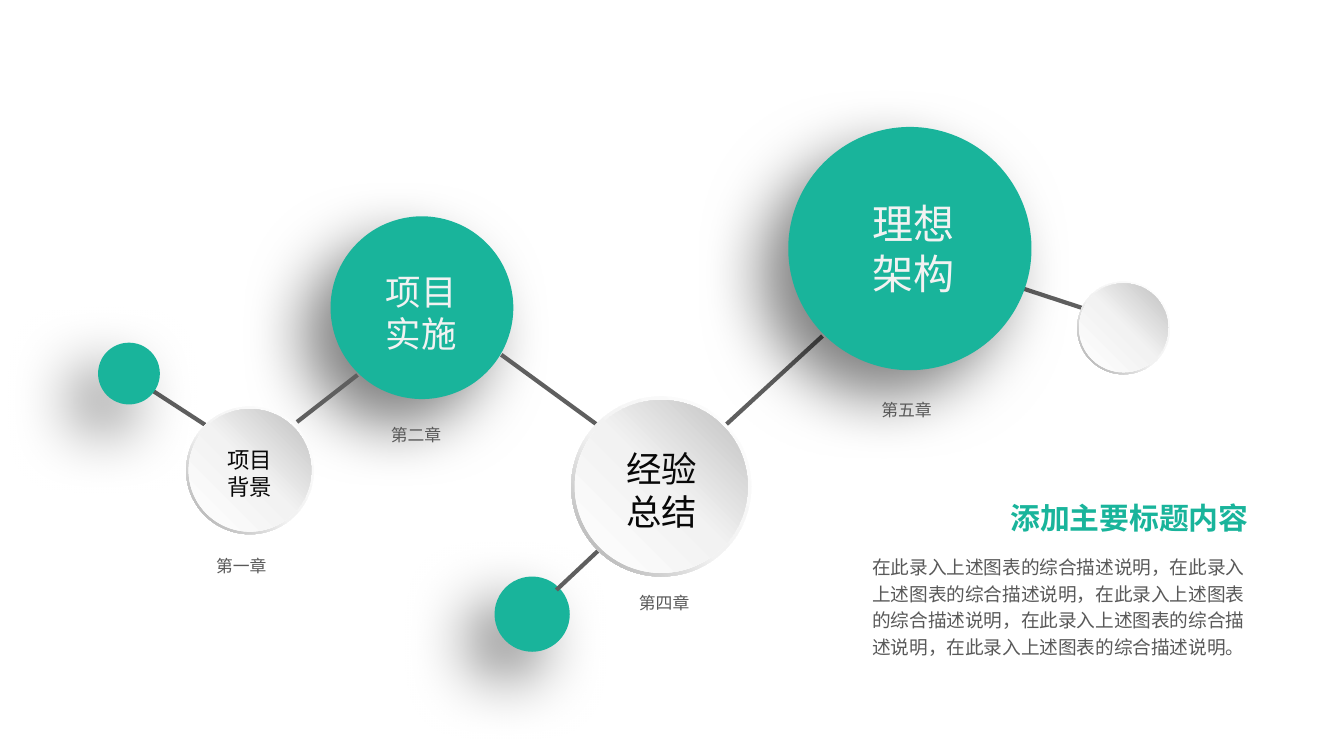
"""Build a slide of linked chapter spheres with a summary at the lower right."""
import copy
from typing import NamedTuple

import pptx
import pptx.dml.color
import pptx.enum.shapes
import pptx.enum.text
import pptx.oxml
import pptx.oxml.ns
import pptx.util
from pptx.util import Inches

RGBColor = pptx.dml.color.RGBColor
Shape = pptx.enum.shapes.MSO_SHAPE
Align = pptx.enum.text.PP_ALIGN
Pt = pptx.util.Pt

FONT = "Noto Sans CJK SC"
TEAL = RGBColor(0x19, 0xB4, 0x9B)
LINK_GREY = RGBColor(0x5F, 0x5F, 0x5F)
TEXT_GREY = RGBColor(0x59, 0x59, 0x59)
PALE = RGBColor(0xF2, 0xF2, 0xF2)
BLACK = RGBColor(0x08, 0x08, 0x08)
WHITE = RGBColor(0xFF, 0xFF, 0xFF)
RIM_GREY = RGBColor(0xA6, 0xA6, 0xA6)
FACE_GREY = RGBColor(0xBF, 0xBF, 0xBF)


class Link(NamedTuple):
    x1: float
    y1: float
    x2: float
    y2: float


class Sphere(NamedTuple):
    x: float
    y: float
    size: float


class Label(NamedTuple):
    text: str
    left: float
    top: float
    width: float
    height: float
    size: int
    color: RGBColor


class Chapter(NamedTuple):
    text: str
    left: float
    top: float


BACK_LINKS = [Link(7.56, 2.13, 8.17, 2.33), Link(5.38, 3.18, 6.12, 2.5)]
FRONT_LINKS = [
    Link(2.21, 3.14, 2.66, 2.79),
    Link(3.73, 2.64, 4.47, 3.18),
    Link(1.14, 2.91, 1.54, 3.17),
    Link(4.14, 4.39, 4.47, 4.08),
]
TEAL_SPHERES = [Sphere(6.77, 1.85, 1.81), Sphere(3.96, 4.57, 0.56), Sphere(3.14, 2.29, 1.36)]
END_SPHERE = Sphere(0.96, 2.78, 0.46)
SILVER_SPHERES = [Sphere(8.36, 2.44, 0.69), Sphere(4.92, 3.62, 1.34), Sphere(1.86, 3.5, 0.95)]
LABELS = [
    Label("理想\n架构", 6.39, 1.43, 0.82, 0.84, 22, PALE),
    Label("经验\n总结", 4.56, 3.28, 0.73, 0.74, 19, BLACK),
    Label("项目\n实施", 2.77, 1.96, 0.73, 0.74, 19, PALE),
    Label("项目\n背景", 1.59, 3.27, 0.54, 0.5, 12, BLACK),
]
CHAPTERS = [
    Chapter("第一章", 1.05, 4.06),
    Chapter("第二章", 2.35, 3.08),
    Chapter("第四章 ", 4.21, 4.33),
    Chapter("第五章", 6, 2.9),
]


def place(shape, left: float, top: float, width: float, height: float) -> None:
    shape.left, shape.top = Inches(left), Inches(top)
    shape.width, shape.height = Inches(width), Inches(height)


def write(shape, text: str, *, size: float, color: RGBColor, align=Align.LEFT,
          bold: bool = False, wrap: bool = True, spacing=None,
          inset: tuple[float, float] = (0.1, 0.05)) -> None:
    frame = shape.text_frame
    frame.word_wrap = wrap
    frame.auto_size = pptx.enum.text.MSO_AUTO_SIZE.SHAPE_TO_FIT_TEXT
    frame.vertical_anchor = pptx.enum.text.MSO_ANCHOR.TOP
    frame.margin_left = frame.margin_right = Inches(inset[0])
    frame.margin_top = frame.margin_bottom = Inches(inset[1])
    paragraph = frame.paragraphs[0]
    paragraph.text = text
    paragraph.alignment = align
    paragraph.space_before = Pt(0)
    if spacing is not None:
        paragraph.line_spacing = spacing
    for run in paragraph.runs:
        run.font.size, run.font.bold, run.font.name = Pt(size), bold, FONT
        run.font.color.rgb = color
        properties = run.font._element
        east_asian = pptx.oxml.parse_xml(
            f'<a:ea {pptx.oxml.ns.nsdecls("a")} typeface="{FONT}"/>')
        properties.find(pptx.oxml.ns.qn("a:latin")).addnext(east_asian)
    for line_break in paragraph._p.findall(pptx.oxml.ns.qn("a:br")):
        line_break.append(copy.deepcopy(properties))


def draw_link(slide, link: Link) -> None:
    x1, y1, x2, y2 = map(Inches, link)
    line = slide.shapes.add_connector(pptx.enum.shapes.MSO_CONNECTOR.STRAIGHT, x1, y1, x2, y2)
    line.line.color.rgb = LINK_GREY
    line.line.width = Pt(2.25)
    line.element.spPr.append(
        pptx.oxml.parse_xml(f'<a:effectLst {pptx.oxml.ns.nsdecls("a")}/>'))


def draw_disc(group, sphere: Sphere, kind=Shape.OVAL, scale: float = 1):
    size = sphere.size * scale
    disc = group.shapes.add_shape(kind, Inches(sphere.x - size / 2), Inches(sphere.y - size / 2),
                                  Inches(size), Inches(size))
    disc.shadow.inherit = False
    disc.line.fill.background()
    return disc


def shade(disc, middle: int, dark: RGBColor, angle: int) -> None:
    stops = "".join(
        f'<a:gs pos="{position * 1000}"><a:srgbClr val="{color}"/></a:gs>'
        for position, color in ((0, WHITE), (middle, PALE), (100, dark)))
    gradient = pptx.oxml.parse_xml(
        f'<a:gradFill {pptx.oxml.ns.nsdecls("a")} rotWithShape="1"><a:gsLst>{stops}</a:gsLst>'
        f'<a:lin ang="{angle * 60000}" scaled="0"/></a:gradFill>')
    disc.element.spPr.find(pptx.oxml.ns.qn("a:prstGeom")).addnext(gradient)


def draw_teal_sphere(slide, sphere: Sphere) -> None:
    group = slide.shapes.add_group_shape()
    rim, face = draw_disc(group, sphere), draw_disc(group, sphere, scale=0.95)
    for disc in (rim, face):
        disc.fill.solid()
        disc.fill.fore_color.rgb = TEAL
    rim.element.spPr.find(pptx.oxml.ns.qn("a:effectLst")).append(pptx.oxml.parse_xml(
        f'<a:outerShdw {pptx.oxml.ns.nsdecls("a")} blurRad="{Pt(35)}" dist="{Pt(20)}" '
        f'dir="{135 * 60000}" algn="tr" rotWithShape="0">'
        '<a:srgbClr val="000000"><a:alpha val="50000"/></a:srgbClr></a:outerShdw>'))


def draw_silver_sphere(slide, sphere: Sphere) -> None:
    group = slide.shapes.add_group_shape()
    rim = draw_disc(group, sphere, Shape.DONUT)
    rim.adjustments[0] = 0.049
    shade(rim, 55, RIM_GREY, 135)
    shade(draw_disc(group, sphere, scale=0.96), 51, FACE_GREY, 315)


def add_text(slide, box: tuple[float, float, float, float], text: str, **style) -> None:
    write(slide.shapes.add_textbox(*map(Inches, box)), text, **style)


def main() -> None:
    deck = pptx.Presentation()
    deck.slide_width = Inches(10)
    deck.slide_height = deck.slide_width * 9 // 16
    slide = deck.slides.add_slide(deck.slide_layouts[1])

    heading, summary = slide.placeholders
    place(heading, 6.84, 3.67, 2.54, 0.36)
    write(heading, "添加主要标题内容", size=16, color=TEAL, bold=True,
          align=Align.RIGHT, inset=(0.09, 0.05))
    place(summary, 6.42, 4.06, 3, 0.88)
    write(summary, "，".join(["在此录入上述图表的综合描述说明"] * 5) + "。",
          size=10, color=TEXT_GREY, spacing=1.2, inset=(0.07, 0.04))
    layout = summary.text_frame.paragraphs[0]._p.get_or_add_pPr()
    layout.set("marL", "0")
    layout.set("indent", "0")
    layout.append(pptx.oxml.parse_xml(f'<a:buNone {pptx.oxml.ns.nsdecls("a")}/>'))

    for link in BACK_LINKS:
        draw_link(slide, link)
    for sphere in TEAL_SPHERES:
        draw_teal_sphere(slide, sphere)
    for link in FRONT_LINKS:
        draw_link(slide, link)
    for sphere in SILVER_SPHERES:
        draw_silver_sphere(slide, sphere)
    for label in LABELS:
        add_text(slide, label[1:5], label.text, size=label.size, color=label.color,
                 align=Align.CENTER, wrap=False)
    for chapter in CHAPTERS:
        add_text(slide, (chapter.left, chapter.top, 1.49, 0.26), chapter.text, size=9,
                 color=TEXT_GREY, align=Align.CENTER, spacing=Pt(13.5), inset=(0.08, 0.04))
    draw_teal_sphere(slide, END_SPHERE)
    deck.save("out.pptx")


if __name__ == "__main__":
    main()
